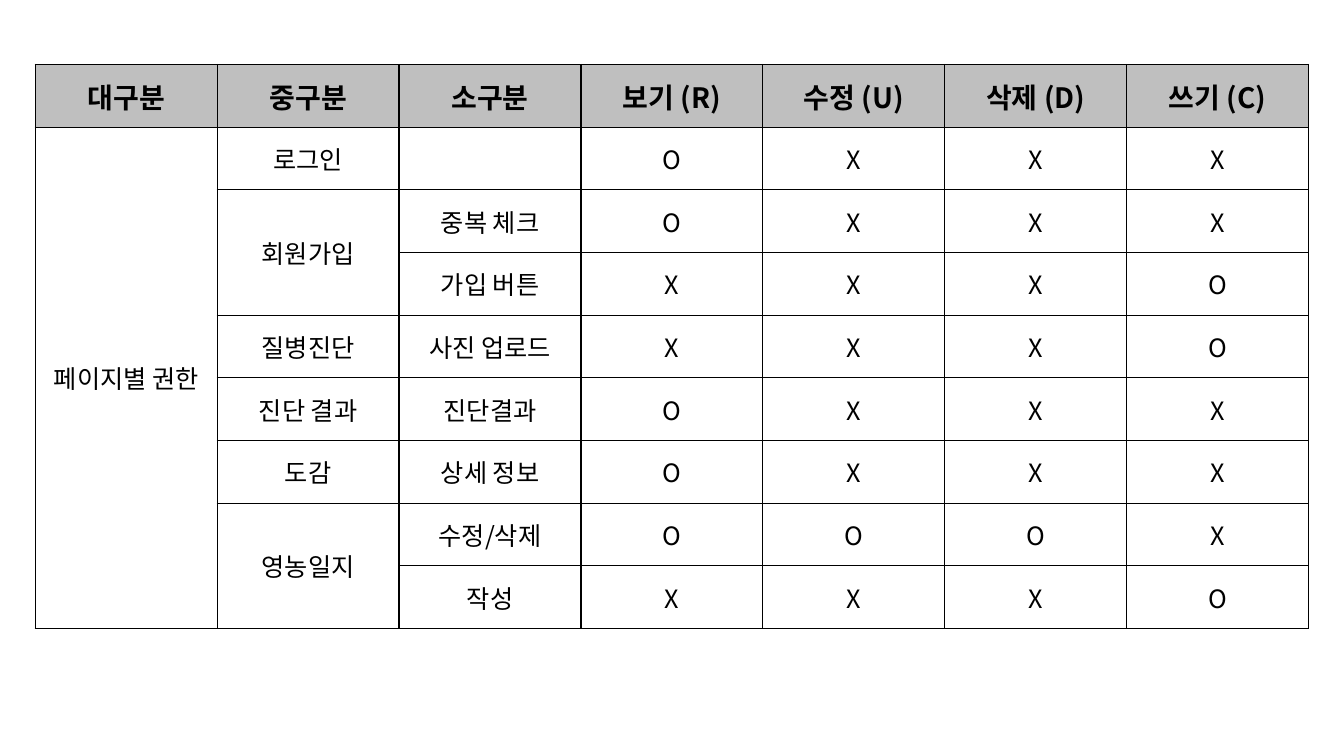
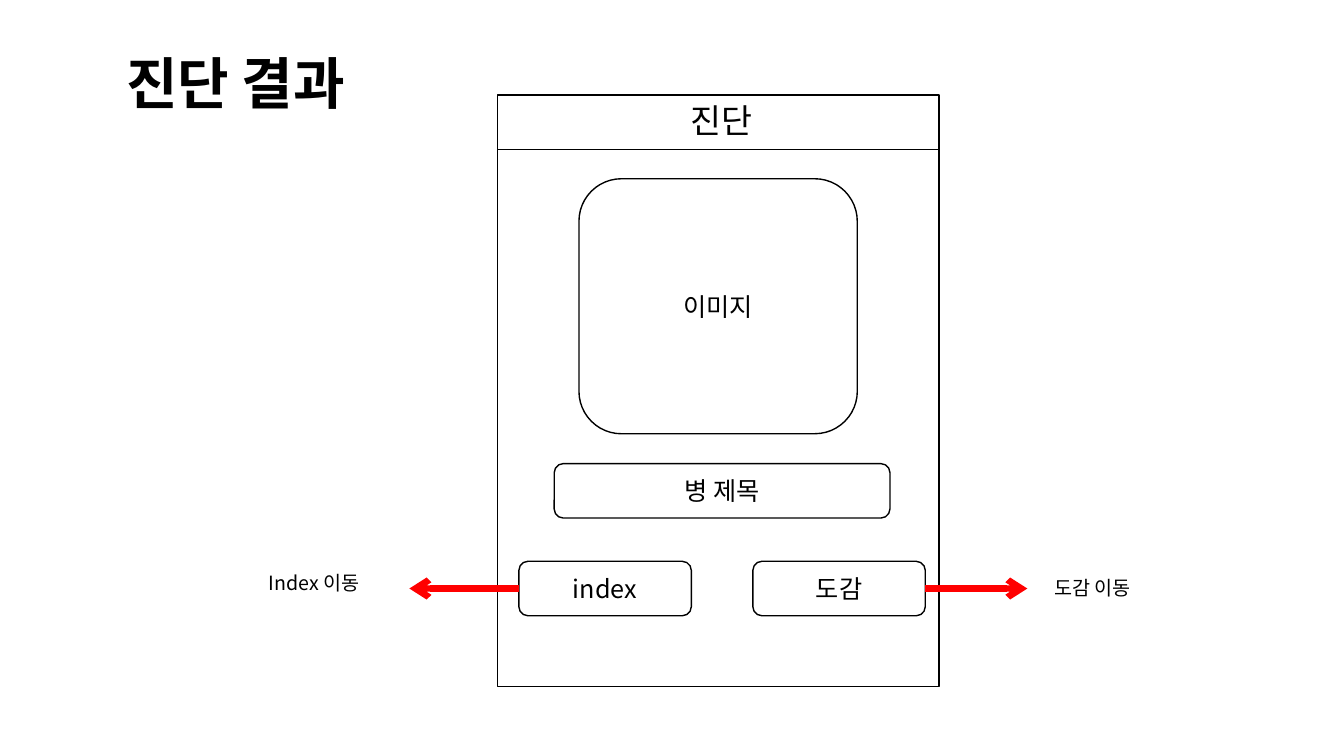
"""Build a page-permission table and a diagnosis-result wireframe."""
from typing import NamedTuple

import pptx
import pptx.dml.color
import pptx.enum.shapes
import pptx.enum.text
import pptx.oxml
import pptx.oxml.ns
import pptx.util

COLORS = {"ink": "000000", "paper": "FFFFFF", "header": "BFBFBF", "arrow": "FF0000"}
FONT = "Noto Sans CJK KR"
SLIDE_W = pptx.util.Inches(13.33)
SLIDE_H = pptx.util.Inches(7.5)
SCREEN_X = 37
SCREEN_W = 32.86
BAR_H = 7.2
BUTTON_W = 12.83
BUTTON_Y = 74.25
SHAPE = pptx.enum.shapes.MSO_SHAPE
ALIGN = pptx.enum.text.PP_ALIGN
ANCHOR = pptx.enum.text.MSO_ANCHOR
AUTO_SIZE = pptx.enum.text.MSO_AUTO_SIZE
qn = pptx.oxml.ns.qn


class Area(NamedTuple):
    """Left, top, width and height in percent of the slide."""
    x: float
    y: float
    w: float
    h: float

    def emu(self) -> tuple[int, int, int, int]:
        """Return the area in slide units."""
        return across(self.x), down(self.y), across(self.w), down(self.h)


class Box(NamedTuple):
    """An outlined wireframe element."""
    key: str
    area: Area
    shape: int = SHAPE.ROUNDED_RECTANGLE
    text: str = ""


class Label(NamedTuple):
    """A free-standing caption."""
    text: str
    area: Area
    size: int = 14


class Jump(NamedTuple):
    """An arrow from the side of a box to a horizontal position."""
    box: str
    side: int
    end_x: float


TABLE_AREA = Area(2.63, 8.53, 94.75, 74.6)
HEADINGS = ["대구분", "중구분", "소구분", "보기 (R)", "수정 (U)", "삭제 (D)", "쓰기 (C)"]
PERMISSIONS = [
    ("페이지별 권한", "로그인", "", "OXXX"),
    (None, "회원가입", "중복 체크", "OXXX"),
    (None, None, "가입 버튼", "XXXO"),
    (None, "질병진단", "사진 업로드", "XXXO"),
    (None, "진단 결과", "진단결과", "OXXX"),
    (None, "도감", "상세 정보", "OXXX"),
    (None, "영농일지", "수정/삭제", "OOOX"),
    (None, None, "작성", "XXXO"),
]

TITLE_AREA = Area(8.63, 5.73, 28.36, 10.27)
BOXES = [
    Box("screen", Area(SCREEN_X, 13.07, SCREEN_W, 77.73), SHAPE.RECTANGLE),
    Box("top bar", Area(SCREEN_X, 12.55, SCREEN_W, BAR_H), SHAPE.RECTANGLE),
    Box("image", Area(43.08, 23.65, 20.71, 33.73), text="이미지"),
    Box("disease", Area(41.24, 61.33, 24.98, BAR_H), text="병 제목"),
    Box("index", Area(38.61, BUTTON_Y, BUTTON_W, BAR_H), text="index"),
    Box("guide", Area(56.02, BUTTON_Y, BUTTON_W, BAR_H), text="도감"),
]
LABELS = [
    Label("진단", Area(50.65, 12.6, 8.1, 6.73), 24),
    Label("Index 이동", Area(19.25, 74.85, 11.25, 4.53)),
    Label("도감 이동", Area(77.7, 75.5, 17.25, 4.53)),
]
JUMPS = [Jump("index", 1, 30.46), Jump("guide", 3, 76.44)]


def across(share: float) -> int:
    """Convert a percentage of the slide width."""
    return round(SLIDE_W * share / 100)


def down(share: float) -> int:
    """Convert a percentage of the slide height."""
    return round(SLIDE_H * share / 100)


def rgb(name: str) -> pptx.dml.color.RGBColor:
    """Look up a palette colour."""
    return pptx.dml.color.RGBColor.from_string(COLORS[name])


def write(tf, text: str, *, size: int = 18, bold: bool = False,
          align=ALIGN.CENTER, anchor=ANCHOR.MIDDLE) -> None:
    """Write one formatted, unkerned paragraph into a text frame."""
    tf.vertical_anchor = anchor
    p = tf.paragraphs[0]
    p.alignment = align
    r = p.add_run()
    r.text = text
    r.font.size = pptx.util.Pt(size)
    r.font.bold = bold
    r.font.name = FONT
    r.font.color.rgb = rgb("ink")
    r_pr = r.font._element
    r_pr.set("kern", "0")
    ea = pptx.oxml.parse_xml(f'<a:ea {pptx.oxml.ns.nsdecls("a")} typeface="{FONT}"/>')
    r_pr.find(qn("a:latin")).addnext(ea)


def add_borders(cell) -> None:
    """Give a table cell a thin line on every side."""
    tc_pr = cell._tc.get_or_add_tcPr()
    for side in "LRTB":
        tc_pr.append(pptx.oxml.parse_xml(
            f'<a:ln{side} {pptx.oxml.ns.nsdecls("a")} w="12700"><a:solidFill>'
            f'<a:srgbClr val="{COLORS["ink"]}"/></a:solidFill></a:ln{side}>'))


def add_permissions(s) -> None:
    """Draw the table; a None entry extends the cell above it."""
    rows = [HEADINGS] + [[*row[:3], *row[3]] for row in PERMISSIONS]
    x, y, w, h = TABLE_AREA.emu()
    table = s.shapes.add_table(len(rows), len(HEADINGS), x, y, w, h).table
    table.horz_banding = False
    for column in table.columns:
        column.width = w // len(HEADINGS)
    for i, row in enumerate(rows):
        table.rows[i].height = h // len(rows)
        for j, text in enumerate(row):
            cell = table.cell(i, j)
            add_borders(cell)
            if i == 0:
                cell.fill.solid()
                cell.fill.fore_color.rgb = rgb("header")
            else:
                cell.fill.background()
            cell.vertical_anchor = ANCHOR.MIDDLE
            if text:
                write(cell.text_frame, text, size=18 if i else 20, bold=i == 0)
    for j in range(len(HEADINGS)):
        starts = [i for i, row in enumerate(rows) if row[j] is not None]
        for start, stop in zip(starts, starts[1:] + [len(rows)]):
            if stop - start > 1:
                table.cell(start, j).merge(table.cell(stop - 1, j))


def add_box(s, box: Box):
    """Draw a wireframe element and return it."""
    sp = s.shapes.add_shape(box.shape, *box.area.emu())
    sp.shadow.inherit = False
    sp.fill.solid()
    sp.fill.fore_color.rgb = rgb("paper")
    sp.line.color.rgb = rgb("ink")
    sp.line.width = pptx.util.Pt(1)
    if box.text:
        write(sp.text_frame, box.text)
    return sp


def add_label(s, label: Label) -> None:
    """Draw a caption."""
    tf = s.shapes.add_textbox(*label.area.emu()).text_frame
    tf.word_wrap = True
    tf.auto_size = AUTO_SIZE.SHAPE_TO_FIT_TEXT
    write(tf, label.text, size=label.size, align=ALIGN.LEFT, anchor=ANCHOR.TOP)


def add_jump(s, jump: Jump, sp) -> None:
    """Draw a horizontal arrow leaving the side of a box."""
    y = sp.top + sp.height // 2
    cxn = s.shapes.add_connector(pptx.enum.shapes.MSO_CONNECTOR.STRAIGHT,
                                 sp.left, y, across(jump.end_x), y)
    cxn.begin_connect(sp, jump.side)
    cxn.line.color.rgb = rgb("arrow")
    cxn.line.width = pptx.util.Pt(4.5)
    sp_pr = cxn._element.spPr
    ns = pptx.oxml.ns.nsdecls("a")
    sp_pr.find(qn("a:ln")).append(pptx.oxml.parse_xml(f'<a:tailEnd {ns} type="arrow"/>'))
    sp_pr.append(pptx.oxml.parse_xml(f"<a:effectLst {ns}/>"))


def add_wireframe(s) -> None:
    """Draw the diagnosis-result screen with its title and arrows."""
    title = s.shapes.title
    title.left, title.top, title.width, title.height = TITLE_AREA.emu()
    title.text_frame.word_wrap = True
    title.text_frame.auto_size = AUTO_SIZE.SHAPE_TO_FIT_TEXT
    write(title.text_frame, "진단 결과", size=40, bold=True,
          align=ALIGN.LEFT, anchor=ANCHOR.TOP)
    drawn = {box.key: add_box(s, box) for box in BOXES}
    for jump in JUMPS:
        add_jump(s, jump, drawn[jump.box])
    for label in LABELS:
        add_label(s, label)


def main() -> None:
    """Build and save the presentation."""
    prs = pptx.Presentation()
    prs.slide_width, prs.slide_height = SLIDE_W, SLIDE_H
    title_only, blank = prs.slide_layouts[5], prs.slide_layouts[6]
    add_permissions(prs.slides.add_slide(blank))
    add_wireframe(prs.slides.add_slide(title_only))
    prs.save("out.pptx")


if __name__ == "__main__":
    main()
